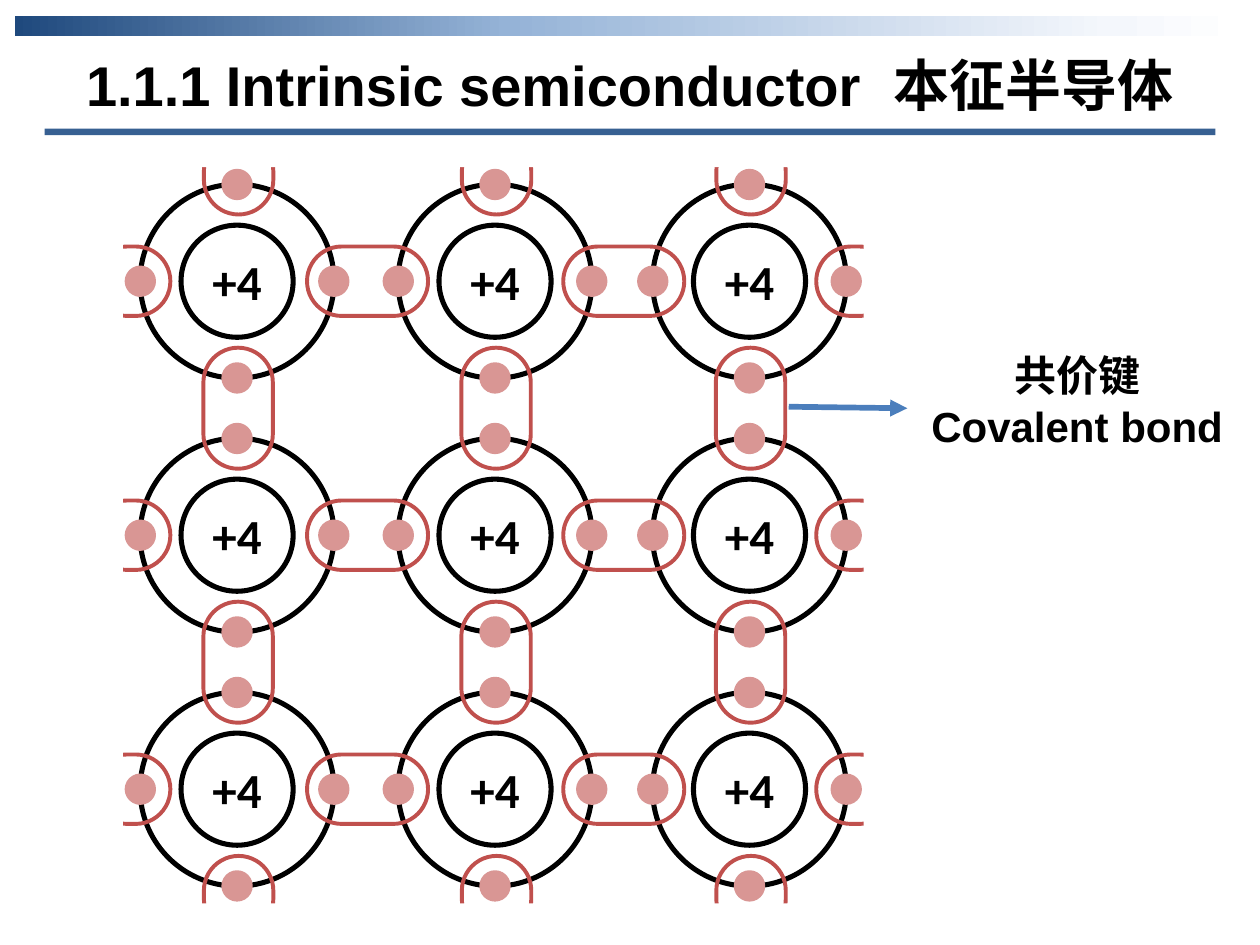
from itertools import product

from lxml.etree import SubElement
from pptx import Presentation
from pptx.dml.color import RGBColor
from pptx.enum.shapes import MSO_CONNECTOR, MSO_SHAPE as Shape
from pptx.enum.text import MSO_ANCHOR, PP_ALIGN
from pptx.oxml.ns import qn
from pptx.util import Cm, Pt

BLACK, WHITE, ELECTRON, BOND = "000000", "FFFFFF", "D99694", "C0504D"
BAR_STOPS = [(0, "1F497D"), (40, "95B3D7"), (89, "F4F7FC"), (100, WHITE)]
COLUMNS = [4.78, 9.98, 15.11]
ROWS = [5.67, 10.79, 15.91]
RING, NUCLEUS, DOT = 3.91, 2.26, 0.53
ORBIT = 1.95
BOND_LENGTH, BOND_WIDTH = 2.44, 1.4
STUB_LENGTH, STUB_OFFSET = 1.57, 2.13
MASK_SIZE, MASK_OFFSET = (1.4, 1.63), 3
DIRECTIONS = [(0, -1), (-1, 0), (0, 1), (1, 0)]


def color(hex_text):
    return RGBColor.from_string(hex_text)


def add_centered(slide, kind, x, y, w, h, fill=None, line=None, weight=2.88):
    sp = slide.shapes.add_shape(kind, Cm(x - w / 2), Cm(y - h / 2), Cm(w), Cm(h))
    sp.shadow.inherit = False
    if fill:
        sp.fill.solid()
        sp.fill.fore_color.rgb = color(fill)
    else:
        sp.fill.background()
    if line:
        sp.line.color.rgb = color(line)
        sp.line.width = Pt(weight)
    else:
        sp.line.fill.background()
    return sp


def write_lines(tf, lines, font, size):
    for i, text in enumerate(lines):
        p = tf.paragraphs[0] if i == 0 else tf.add_paragraph()
        p.text = text
        p.alignment = PP_ALIGN.CENTER
        p.font.name = font
        p.font.size = Pt(size)
        p.font.bold = True
        p.font.color.rgb = color(BLACK)


def add_text(slide, x, y, w, h, lines, size):
    tf = slide.shapes.add_textbox(Cm(x), Cm(y), Cm(w), Cm(h)).text_frame
    tf.word_wrap = True
    write_lines(tf, lines, "Arial", size)


def add_atom(slide, x, y):
    add_centered(slide, Shape.OVAL, x, y, RING, RING, line=BLACK)
    nucleus = add_centered(slide, Shape.OVAL, x, y, NUCLEUS, NUCLEUS, line=BLACK)
    tf = nucleus.text_frame
    tf.word_wrap = False
    tf.vertical_anchor = MSO_ANCHOR.MIDDLE
    write_lines(tf, ["+4"], "Calibri", 28)
    for dx, dy in DIRECTIONS:
        add_centered(slide, Shape.OVAL, x + dx * ORBIT, y + dy * ORBIT,
                     DOT, DOT, ELECTRON, ELECTRON)


def add_bond(slide, x, y, vertical, length=BOND_LENGTH):
    sp = add_centered(slide, Shape.ROUNDED_RECTANGLE, x, y, length, BOND_WIDTH,
                      line=BOND, weight=2.25)
    sp.adjustments[0] = 0.5
    sp.rotation = 90 if vertical else 0


def add_open_bond(slide, x, y, dx, dy):
    vertical = dy != 0
    add_bond(slide, x + dx * STUB_OFFSET, y + dy * STUB_OFFSET, vertical, STUB_LENGTH)
    mask = add_centered(slide, Shape.RECTANGLE, x + dx * MASK_OFFSET,
                        y + dy * MASK_OFFSET, *MASK_SIZE, fill=WHITE)
    mask.rotation = 90 if vertical else 0


def add_lattice(slide):
    for y, x in product(ROWS, COLUMNS):
        add_atom(slide, x, y)
    for y, (left, right) in product(ROWS, zip(COLUMNS, COLUMNS[1:])):
        add_bond(slide, (left + right) / 2 + 0.03, y, False)
    for (top, bottom), x in product(zip(ROWS, ROWS[1:]), COLUMNS):
        add_bond(slide, x + 0.02, (top + bottom) / 2, True)
    for y in ROWS:
        add_open_bond(slide, COLUMNS[0], y, -1, 0)
        add_open_bond(slide, COLUMNS[-1], y, 1, 0)
    for x in COLUMNS:
        add_open_bond(slide, x + 0.03, ROWS[0], 0, -1)
        add_open_bond(slide, x + 0.03, ROWS[-1], 0, 1)


def add_gradient_bar(slide):
    bar = add_centered(slide, Shape.RECTANGLE, 12.7, 0.53, 24.79, 0.41)
    bar.fill.gradient()
    bar.fill.gradient_angle = 0
    stops = bar.element.spPr.find(".//" + qn("a:gsLst"))
    for stop in list(stops):
        stops.remove(stop)
    for percent, hex_text in BAR_STOPS:
        stop = SubElement(stops, qn("a:gs"), pos=str(percent * 1000))
        SubElement(stop, qn("a:srgbClr"), val=hex_text)


def add_arrow(slide, x1, y1, x2, y2):
    arrow = slide.shapes.add_connector(MSO_CONNECTOR.STRAIGHT,
                                       Cm(x1), Cm(y1), Cm(x2), Cm(y2))
    arrow.line.color.rgb = color("4B7EBC")
    arrow.line.width = Pt(3.25)
    SubElement(arrow.line._get_or_add_ln(), qn("a:tailEnd"), type="triangle")
    SubElement(arrow._element.spPr, qn("a:effectLst"))


def main():
    prs = Presentation()
    prs.slide_width, prs.slide_height = Cm(25.4), Cm(19.05)
    slide = prs.slides.add_slide(prs.slide_layouts[6])
    add_lattice(slide)
    add_text(slide, 1.19, 0.89, 23.01, 1.63,
             ["1.1.1 Intrinsic semiconductor  本征半导体"], 32)
    add_gradient_bar(slide)
    add_centered(slide, Shape.RECTANGLE, 12.7, 2.66, 23.6, 0.13, fill="376092")
    add_text(slide, 18.36, 6.93, 6.71, 2.31, ["共价键", "Covalent bond"], 24)
    add_arrow(slide, 15.9, 8.2, 18.29, 8.23)
    prs.save("out.pptx")


if __name__ == "__main__":
    main()
